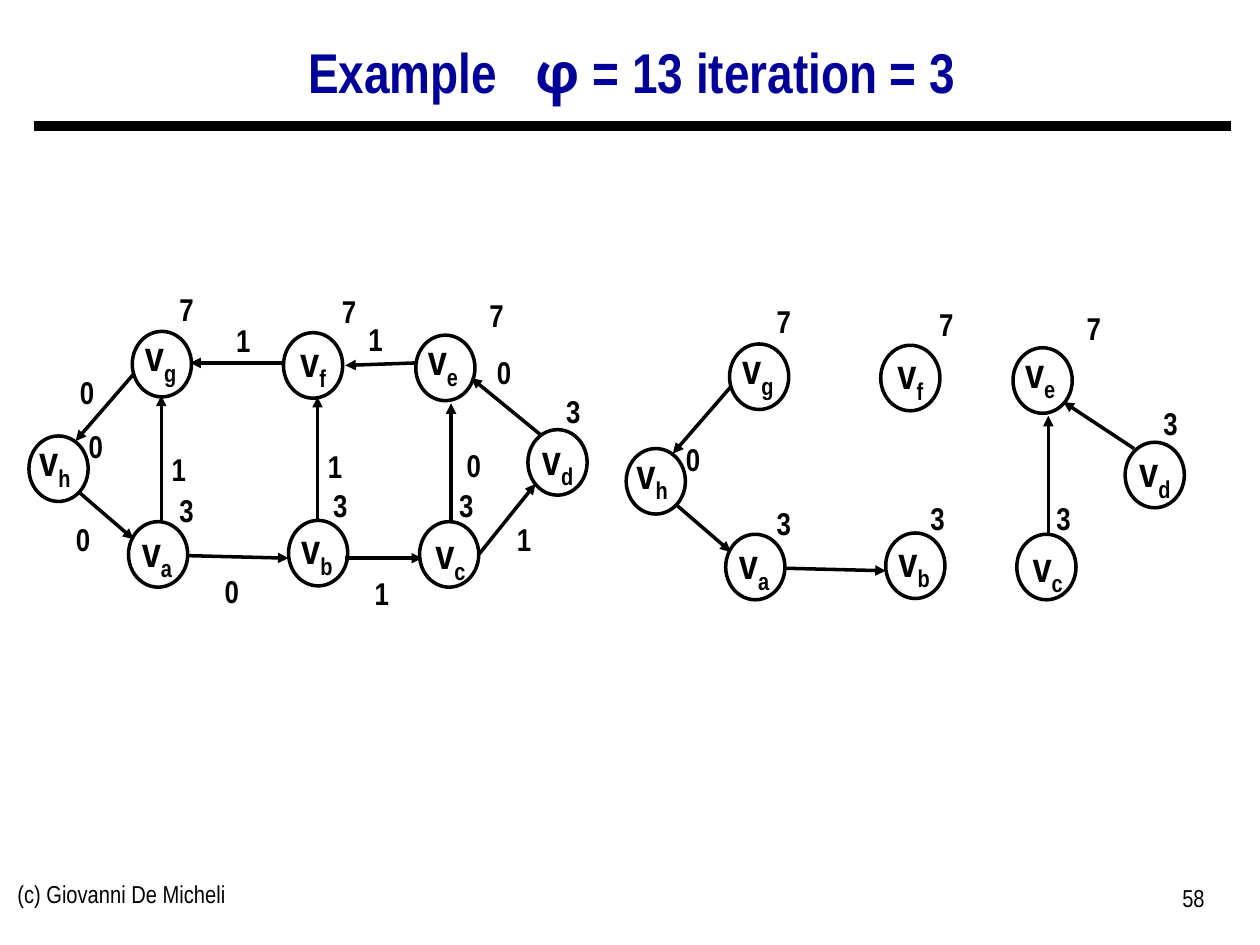
from lxml import etree
from pptx import Presentation
from pptx import util as u
from pptx.dml.color import RGBColor
from pptx.enum import shapes, text
from pptx.oxml.ns import qn

COLOURS = {"title": "000099", "ink": "000000"}
FONT = "Arial Narrow"
GREEK_FONT = "Noto Sans"
SLIDE_SIZE = (10, 7.5)
CELL = u.Inches(SLIDE_SIZE[0] / 10)
NODE_SIZE = (0.47, 0.52)
NAME_SIZE = (1.21, 0.5)
NUMBER_SIZE = (0.52, 0.4)
RIGHT_SHIFT = (4.74, 0.1)

NODES = {
    "a": (1.02, 4.14), "b": (2.29, 4.13), "c": (3.33, 4.14), "d": (4.19, 3.41),
    "e": (3.3, 2.66), "f": (2.25, 2.64), "g": (1.05, 2.63), "h": (0.23, 3.46),
}
NAMES = {
    "a": (0.64, 4.12), "b": (1.91, 4.1), "c": (2.97, 4.14), "d": (3.82, 3.39),
    "e": (2.91, 2.6), "f": (1.88, 2.61), "g": (0.67, 2.57), "h": (-0.17, 3.4),
}
ARRIVALS = {
    "a": ("3", 1.22, 3.85), "b": ("3", 2.44, 3.81), "c": ("3", 3.44, 3.81),
    "d": ("3", 4.29, 3.06), "e": ("7", 3.68, 2.3), "f": ("7", 2.51, 2.27),
    "g": ("7", 1.22, 2.25), "h": ("0", 0.5, 3.34),
}
WEIGHTS = {
    "ag": ("1", 1.16, 3.52), "gh": ("0", 0.43, 2.91), "ha": ("0", 0.4, 4.08),
    "bf": ("1", 2.4, 3.5), "fg": ("1", 1.67, 2.5), "ef": ("1", 2.72, 2.49),
    "ce": ("0", 3.5, 3.49), "cd": ("1", 3.9, 4.08), "de": ("0", 3.74, 2.75),
    "ab": ("0", 1.58, 4.49), "bc": ("1", 2.77, 4.51),
}
EDGES = {
    "ag": (1.28, 4.13, 1.28, 3.14), "gh": (1.06, 2.97, 0.6, 3.5),
    "ha": (0.62, 3.9, 1.06, 4.28), "bf": (2.52, 4.13, 2.52, 3.15),
    "fg": (2.24, 2.88, 1.51, 2.88), "ef": (3.31, 2.88, 2.74, 2.9),
    "ce": (3.58, 4.13, 3.58, 3.2), "cd": (3.8, 4.4, 4.25, 3.84),
    "de": (4.29, 3.45, 3.74, 3), "ab": (1.49, 4.41, 2.29, 4.43),
    "bc": (2.74, 4.43, 3.35, 4.43),
}
RIGHT_EDGES = {key: EDGES[key] for key in ("gh", "ha", "ab", "ce")}
RIGHT_EDGES["de"] = (4.26, 3.46, 3.7, 3.09)


def cells(*lengths):
    return [round(length * CELL) for length in lengths]


def style(font, size, colour="ink", bold=False):
    font.name = FONT
    font.size = u.Pt(size)
    font.bold = bold
    font.color.rgb = RGBColor.from_string(COLOURS[colour])


def add_text(slide, position, size, content, points, bold=True,
             alignment=text.PP_ALIGN.CENTER, subscript=None):
    box = slide.shapes.add_textbox(*cells(*position, *size))
    box.text_frame.word_wrap = True
    paragraph = box.text_frame.paragraphs[0]
    paragraph.alignment = alignment
    paragraph.add_run().text = content
    if subscript:
        run = paragraph.add_run()
        run.text = subscript
        run.font._element.set("baseline", "-25000")
    style(paragraph.font, points, bold=bold)


def add_node(slide, position):
    node = slide.shapes.add_shape(
        shapes.MSO_SHAPE.FLOWCHART_CONNECTOR, *cells(*position, *NODE_SIZE))
    node.shadow.inherit = False
    node.fill.background()
    node.line.color.rgb = RGBColor.from_string(COLOURS["ink"])
    node.line.width = u.Pt(2)


def add_line(slide, ends, width, arrow=False):
    line = slide.shapes.add_connector(shapes.MSO_CONNECTOR.STRAIGHT, *cells(*ends))
    line.line.color.rgb = RGBColor.from_string(COLOURS["ink"])
    line.line.width = u.Pt(width)
    if arrow:
        etree.SubElement(line.line._get_or_add_ln(), qn("a:tailEnd"), type="triangle")
    etree.SubElement(line._element.spPr, qn("a:effectLst"))


def add_graph(slide, shift, edges, weights):
    across, down = shift

    def moved(x, y):
        return x + across, y + down

    for position in NODES.values():
        add_node(slide, moved(*position))
    for x1, y1, x2, y2 in edges.values():
        add_line(slide, (*moved(x1, y1), *moved(x2, y2)), 2, arrow=True)
    for letter, position in NAMES.items():
        add_text(slide, moved(*position), NAME_SIZE, "v", 24, subscript=letter)
    for number, x, y in [*ARRIVALS.values(), *weights.values()]:
        add_text(slide, moved(x, y), NUMBER_SIZE, number, 18)


def add_title(slide):
    title = slide.shapes.title
    title.left, title.top, title.width, title.height = cells(0.26, 0.22, 9.51, 0.75)
    frame = title.text_frame
    frame.auto_size = text.MSO_AUTO_SIZE.NONE
    frame.vertical_anchor = text.MSO_ANCHOR.MIDDLE
    paragraph = frame.paragraphs[0]
    paragraph.alignment = text.PP_ALIGN.CENTER
    paragraph.line_spacing = 0.9
    for content, font in (("Example   ", FONT), ("φ", GREEK_FONT),
                          (" = 13 iteration = 3", FONT)):
        run = paragraph.add_run()
        run.text = content
        style(run.font, 32, "title", bold=True)
        run.font.name = font


def main():
    presentation = Presentation()
    presentation.slide_width, presentation.slide_height = cells(*SLIDE_SIZE)
    slide = presentation.slides.add_slide(presentation.slide_layouts[5])
    add_title(slide)
    add_line(slide, (0.27, 1, 9.77, 1), 6)
    add_graph(slide, (0, 0), EDGES, WEIGHTS)
    add_graph(slide, RIGHT_SHIFT, RIGHT_EDGES, {})
    add_text(slide, (0.04, 6.93), (3.17, 0.52), "(c) Giovanni De Micheli", 14,
             bold=False, alignment=text.PP_ALIGN.LEFT)
    add_text(slide, (7.33, 6.96), (2.33, 0.52), "58", 14,
             bold=False, alignment=text.PP_ALIGN.RIGHT)
    presentation.save("out.pptx")


if __name__ == "__main__":
    main()
